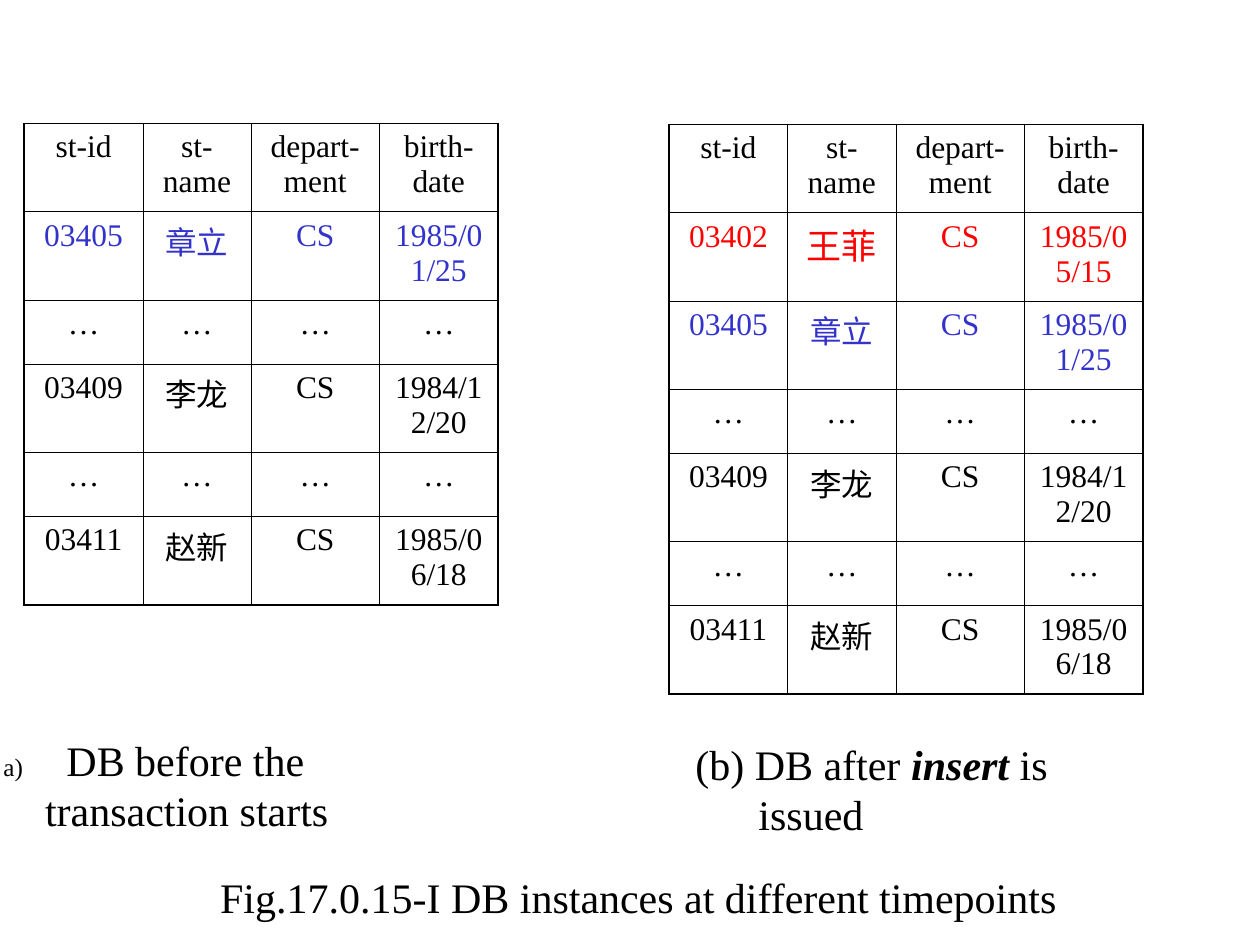
"""Build the slide that compares a table before and after an insert."""
import pptx
import pptx.dml.color
import pptx.enum.text
import pptx.oxml
import pptx.oxml.ns
import pptx.util

Cm = pptx.util.Cm
Pt = pptx.util.Pt
Align = pptx.enum.text.PP_ALIGN
COLORS = {"black": "000000", "blue": "3333CC", "red": "FF0000"}
COLS = (2.39, 2.18, 2.59, 2.39)
HEAD = ("st-id", "st-name", "depart-ment", "birth-date")
NEW = ("03402", "王菲", "CS", "1985/05/15")
FIRST = ("03405", "章立", "CS", "1985/01/25")
GAP = ("…",) * 4
REST = (GAP, ("03409", "李龙", "CS", "1984/12/20"), GAP,
        ("03411", "赵新", "CS", "1985/06/18"))
TINTS = {NEW: "red", FIRST: "blue"}


class Deck:
    font = "Times New Roman"
    tall, short = 1.78, 1.29
    thin, thick = 0.45, 1.08

    def __init__(self):
        self.prs = pptx.Presentation()
        self.prs.slide_width, self.prs.slide_height = Cm(25.4), Cm(19.05)
        self.slide = self.prs.slides.add_slide(self.prs.slide_layouts[5])

    def style(self, para, size, color="black", align=Align.LEFT):
        para.alignment = align
        para.font.name = self.font
        para.font.size = Pt(size)
        para.font.color.rgb = pptx.dml.color.RGBColor.from_string(COLORS[color])

    def xml(self, tag, body="", **attrs):
        pairs = "".join(f' {key}="{val}"' for key, val in attrs.items())
        space = pptx.oxml.ns.nsdecls("a")
        return pptx.oxml.parse_xml(f"<a:{tag} {space}{pairs}>{body}</a:{tag}>")

    def border(self, cell, edges):
        fill = f'<a:solidFill><a:srgbClr val="{COLORS["black"]}"/></a:solidFill>'
        props = cell._tc.get_or_add_tcPr()
        for spot, (side, outer) in enumerate(edges.items()):
            width = Pt(self.thick if outer else self.thin)
            props.insert(spot, self.xml("ln" + side, fill, w=int(width)))

    def table(self, left, top, rows):
        highs = [self.short if row == GAP else self.tall for row in rows]
        grid = self.slide.shapes.add_table(
            len(rows), len(COLS), Cm(left), Cm(top),
            Cm(sum(COLS)), Cm(sum(highs))).table
        grid.first_row = grid.horz_banding = False
        for col, width in zip(grid.columns, COLS):
            col.width = Cm(width)
        for r, (row, high) in enumerate(zip(rows, highs)):
            grid.rows[r].height = Cm(high)
            for c, text in enumerate(row):
                cell = grid.cell(r, c)
                cell.text = text
                cell.fill.background()
                size = 20 if text == NEW[1] else 18
                self.style(cell.text_frame.paragraphs[0], size,
                           TINTS.get(row, "black"), Align.CENTER)
                self.border(cell, {"L": c == 0, "R": c == len(COLS) - 1,
                                   "T": r == 0, "B": r == len(rows) - 1})

    def note(self, left, top, width, paras):
        box = self.slide.shapes.add_textbox(
            Cm(left), Cm(top), Cm(width), Cm(2.29))
        frame = box.text_frame
        frame.word_wrap = True
        for n, (runs, margin, hang, bullet) in enumerate(paras):
            para = frame.add_paragraph() if n else frame.paragraphs[0]
            props = para._p.get_or_add_pPr()
            props.set("marL", str(int(Cm(margin))))
            props.set("indent", str(int(Cm(-hang))))
            if bullet:
                props.append(self.xml("buSzPct", val=60000))
                props.append(self.xml("buFont", typeface=self.font))
                props.append(self.xml("buAutoNum", type=bullet))
            self.style(para, 24)
            for text, strong in runs:
                run = para.add_run()
                run.text = text
                if strong:
                    run.font.bold = run.font.italic = True

    def title(self, left, top, width, height, text):
        shape = self.slide.shapes.title
        shape.left, shape.top = Cm(left), Cm(top)
        shape.width, shape.height = Cm(width), Cm(height)
        frame = shape.text_frame
        frame.text = text
        frame.auto_size = pptx.enum.text.MSO_AUTO_SIZE.NONE
        frame.vertical_anchor = pptx.enum.text.MSO_ANCHOR.BOTTOM
        self.style(frame.paragraphs[0], 24, align=Align.CENTER)


def main():
    deck = Deck()
    deck.table(0.49, 2.49, (HEAD, FIRST, *REST))
    deck.table(13.49, 2.51, (HEAD, NEW, FIRST, *REST))
    deck.note(-0.18, 14.68, 9.8, [
        ([("DB before the", False)], 1.27, 1.27, "alphaLcParenR"),
        ([("transaction starts", False)], 0.84, 0, None)])
    deck.note(13.77, 14.76, 8.99, [
        ([("(b) DB after ", False), ("insert", True), (" is issued", False)],
         1.27, 1.27, None)])
    deck.title(3.66, 17.02, 18.42, 1.7,
               "Fig.17.0.15-I DB instances at different timepoints")
    deck.prs.save("out.pptx")


if __name__ == "__main__":
    main()
